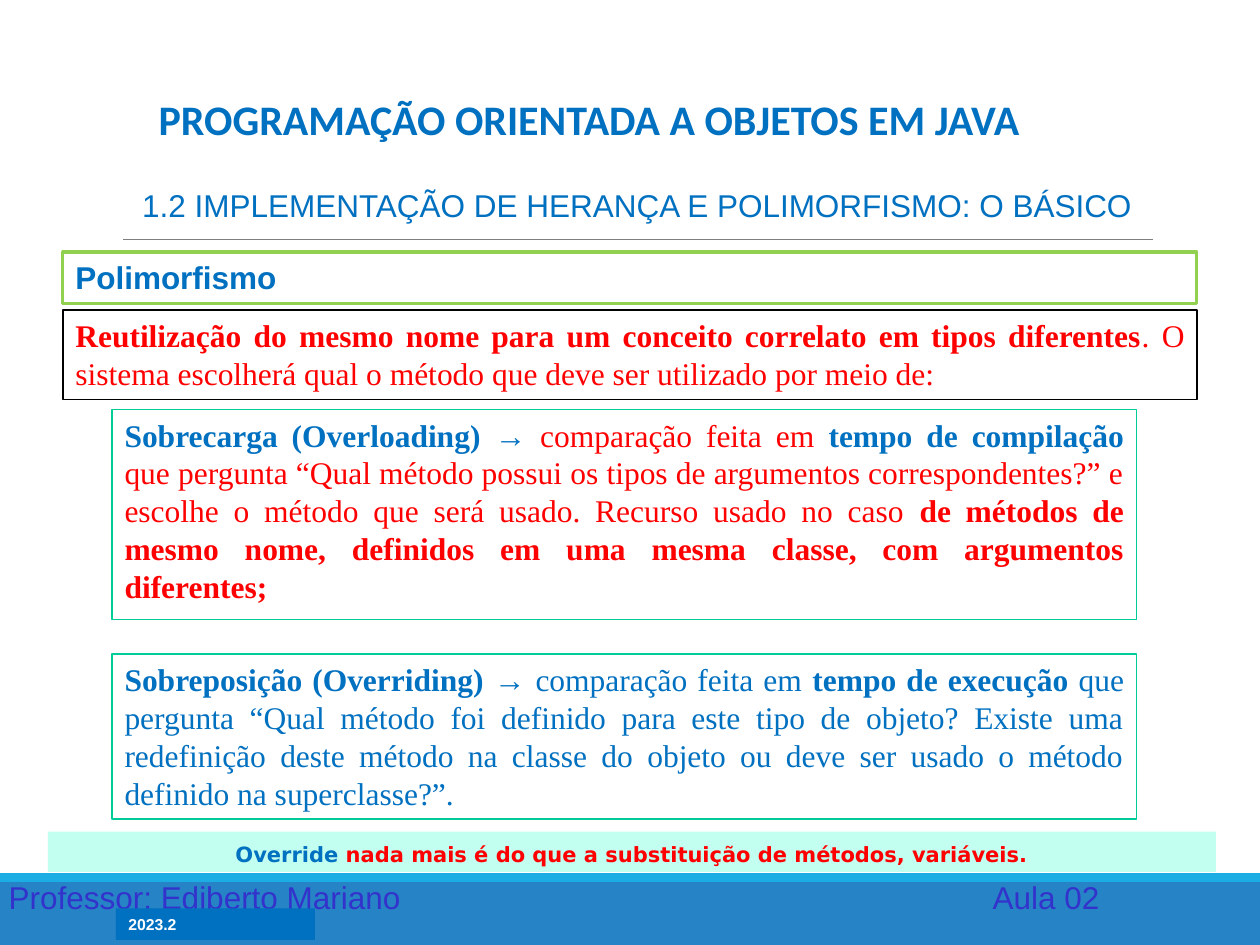
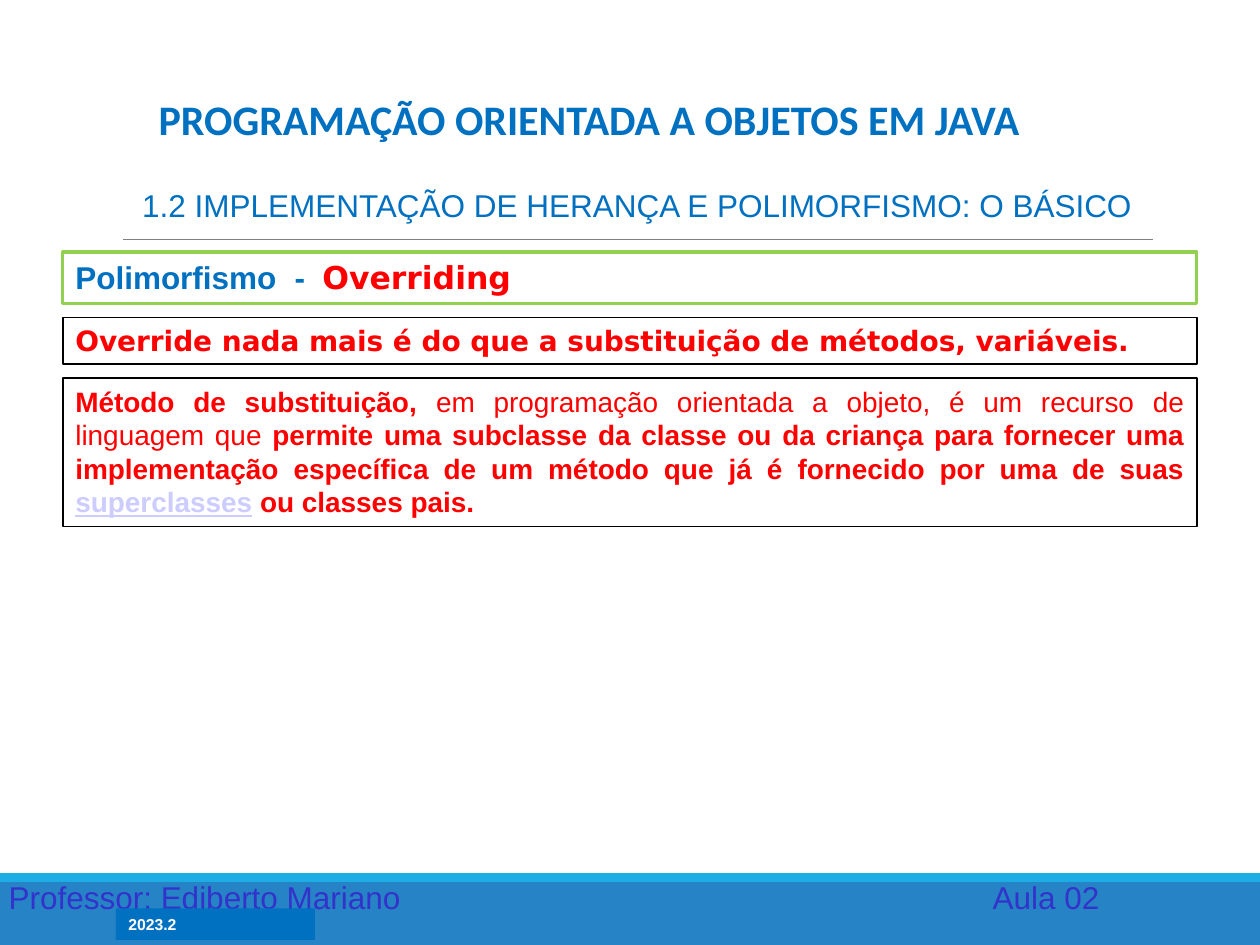
from lxml import etree
from pptx import Presentation
from pptx.dml.color import RGBColor
from pptx.enum.shapes import MSO_CONNECTOR as Connector, MSO_SHAPE as Shape
from pptx.enum.text import MSO_ANCHOR as Anchor, PP_ALIGN as Align
from pptx.oxml.ns import qn
from pptx.util import Inches, Pt

BLUE, RED, WHITE, BLACK = "0070C0", "FF0000", "FFFFFF", "000000"
GREEN, TEAL, MINT, LILAC = "92D050", "00CC99", "C2FFF0", "CCCCFF"
BAND, BAND_EDGE, RULE, FOOTER = "2683C6", "1CADE4", "7F7F7F", "3333CC"

SANS = {"name": "Arial", "size": Pt(18)}
SERIF = {"name": "Times New Roman", "size": Pt(18)}
SMALL_SANS = {"name": "Arial", "size": Pt(16)}
WIDE = {"name": "DejaVu Sans", "bold": True}
BOLD = {"bold": True}
JUSTIFIED = {"alignment": Align.JUSTIFY}
SPACED = {**JUSTIFIED, "space_before": Pt(6)}


def rgb(value):
    return RGBColor.from_string(value)


class SlideBuilder:
    """Holds the deck, its shared style and the slide being filled."""

    def __init__(self):
        self.deck = Presentation()
        self.deck.slide_width, self.deck.slide_height = Inches(10), Inches(7.5)
        self.page = None

    def new_page(self, topic, tabs=()):
        """Start a slide with the shared frame and its topic box."""
        self.page = self.deck.slides.add_slide(self.deck.slide_layouts[6])
        self.box(0, 6.93, 10, 0.57, fill=BAND)
        self.box(0, 6.93, 10, 0.07, fill=BAND_EDGE)
        self.rule(0.98, 1.9, 9.15)
        self.text(-0.03, 6.92, 9, 0.4, [("Professor: Ediberto Mariano\tAula 02", FOOTER, {})],
                  SANS, tabs=[7.81])
        term = self.box(0.92, 7.21, 1.58, 0.25, fill=BLUE)
        self.fill_text(term, [("2023.2", WHITE, BOLD)], {"name": "Arial", "size": Pt(9)})
        self.text(1.03, 0.67, 7.29, 0.52,
                  [("PROGRAMAÇÃO ORIENTADA A OBJETOS EM JAVA", BLUE, BOLD)],
                  {"name": "Calibri", "size": Pt(24)},
                  {"alignment": Align.CENTER}, anchor=Anchor.BOTTOM)
        self.text(1.03, 1.43, 8.67, 0.41,
                  [("1.2 IMPLEMENTAÇÃO DE HERANÇA E POLIMORFISMO: O BÁSICO", BLUE, {})],
                  SANS, {**JUSTIFIED, "space_before": Pt(10)})
        topic_box = self.box(0.5, 2, 9, 0.41, line=GREEN, weight=1.75)
        self.fill_text(topic_box, topic, SANS, tabs=tabs)

    def box(self, left, top, width, height, fill=None, line=None, weight=0.75):
        box = self.page.shapes.add_shape(
            Shape.RECTANGLE, Inches(left), Inches(top), Inches(width), Inches(height))
        box.shadow.inherit = False
        if fill:
            box.fill.solid()
            box.fill.fore_color.rgb = rgb(fill)
        else:
            box.fill.background()
        if line:
            box.line.color.rgb = rgb(line)
            box.line.width = Pt(weight)
        else:
            box.line.fill.background()
        return box

    def rule(self, left, top, right):
        rule = self.page.shapes.add_connector(
            Connector.STRAIGHT, Inches(left), Inches(top), Inches(right), Inches(top))
        rule.line.color.rgb = rgb(RULE)
        rule.line.width = Pt(0.5)
        etree.SubElement(rule._element.spPr, qn("a:effectLst"))

    def text(self, left, top, width, height, spans, font, layout=None,
             anchor=Anchor.TOP, tabs=()):
        box = self.page.shapes.add_textbox(
            Inches(left), Inches(top), Inches(width), Inches(height))
        self.fill_text(box, spans, font, layout, anchor, tabs)

    def fill_text(self, box, spans, font, layout=None, anchor=Anchor.TOP, tabs=()):
        """Fill a box with one paragraph of (text, colour, format) spans."""
        frame = box.text_frame
        frame.word_wrap = True
        frame.vertical_anchor = anchor
        para = frame.paragraphs[0]
        for name, value in {"alignment": Align.LEFT, **(layout or {})}.items():
            setattr(para, name, value)
        if tabs:
            stops = etree.SubElement(para._p.get_or_add_pPr(), qn("a:tabLst"))
            for position in tabs:
                etree.SubElement(stops, qn("a:tab"), pos=str(Inches(position)), algn="l")
        for words, color, extra in spans:
            span = para.add_run()
            span.text = words
            span.font.color.rgb = rgb(color)
            for name, value in {"bold": False, **font, **extra}.items():
                setattr(span.font, name, value)


def add_polymorphism(builder):
    builder.new_page([("Polimorfismo", BLUE, BOLD)])
    definition = builder.box(0.5, 2.46, 9, 0.71, line=BLACK)
    builder.fill_text(definition, [
        ("Reutilização do mesmo nome para um conceito correlato em tipos diferentes", RED, BOLD),
        (". O sistema escolherá qual o método que deve ser utilizado por meio de:", RED, {}),
    ], SERIF, JUSTIFIED)

    overloading = [
        ("Sobrecarga (Overloading) ", BLUE, BOLD),
        ("→ ", BLUE, {}),
        ("comparação feita em ", RED, {}),
        ("tempo de compilação", BLUE, BOLD),
        (" que pergunta “Qual método possui os tipos de argumentos correspondentes?” "
         "e escolhe o método que será usado. Recurso usado no caso ", RED, {}),
        ("de métodos de mesmo nome, definidos em uma mesma classe, "
         "com argumentos diferentes;", RED, BOLD),
    ]
    overriding = [
        ("Sobreposição (Overriding) ", BLUE, BOLD),
        ("→ comparação feita em ", BLUE, {}),
        ("tempo de execução", BLUE, BOLD),
        (" que pergunta “Qual método foi definido para este tipo de objeto? Existe uma "
         "redefinição deste método na classe do objeto ou deve ser usado o método "
         "definido na superclasse?”.", BLUE, {}),
    ]
    for top, height, spans in ((3.25, 1.67, overloading), (5.19, 1.31, overriding)):
        builder.fill_text(builder.box(0.89, top, 8.13, height, line=TEAL), spans, SERIF, SPACED)

    summary = builder.box(0.38, 6.6, 9.27, 0.32, fill=MINT)
    builder.fill_text(summary, [
        ("Override", BLUE, {}),
        (" nada mais é do que a substituição de métodos, variáveis.", RED, {}),
    ], {**WIDE, "size": Pt(12)},
        {"alignment": Align.CENTER, "line_spacing": 1.15, "space_after": Pt(10)})


def add_overriding(builder):
    builder.new_page([("Polimorfismo\t-\t", BLUE, BOLD), ("Overriding", RED, WIDE)],
                     tabs=[1.74, 1.96])
    summary = builder.box(0.5, 2.52, 9, 0.37, line=BLACK)
    builder.fill_text(summary, [
        ("Override nada mais é do que a substituição de métodos, variáveis.", RED, {}),
    ], {**WIDE, "size": Pt(16)}, JUSTIFIED)
    explanation = builder.box(0.5, 3, 9, 1.18, line=BLACK)
    builder.fill_text(explanation, [
        ("Método de substituição,", RED, BOLD),
        (" em programação orientada a objeto, é um recurso de linguagem que ", RED, {}),
        ("permite uma subclasse da classe ou da criança para fornecer uma implementação "
         "específica de um método que já é fornecido por uma de suas ", RED, BOLD),
        ("superclasses", LILAC, {**BOLD, "underline": True}),
        (" ou classes pais.", RED, BOLD),
    ], SMALL_SANS, JUSTIFIED)


def main():
    builder = SlideBuilder()
    add_polymorphism(builder)
    add_overriding(builder)
    builder.deck.save("out.pptx")


if __name__ == "__main__":
    main()
